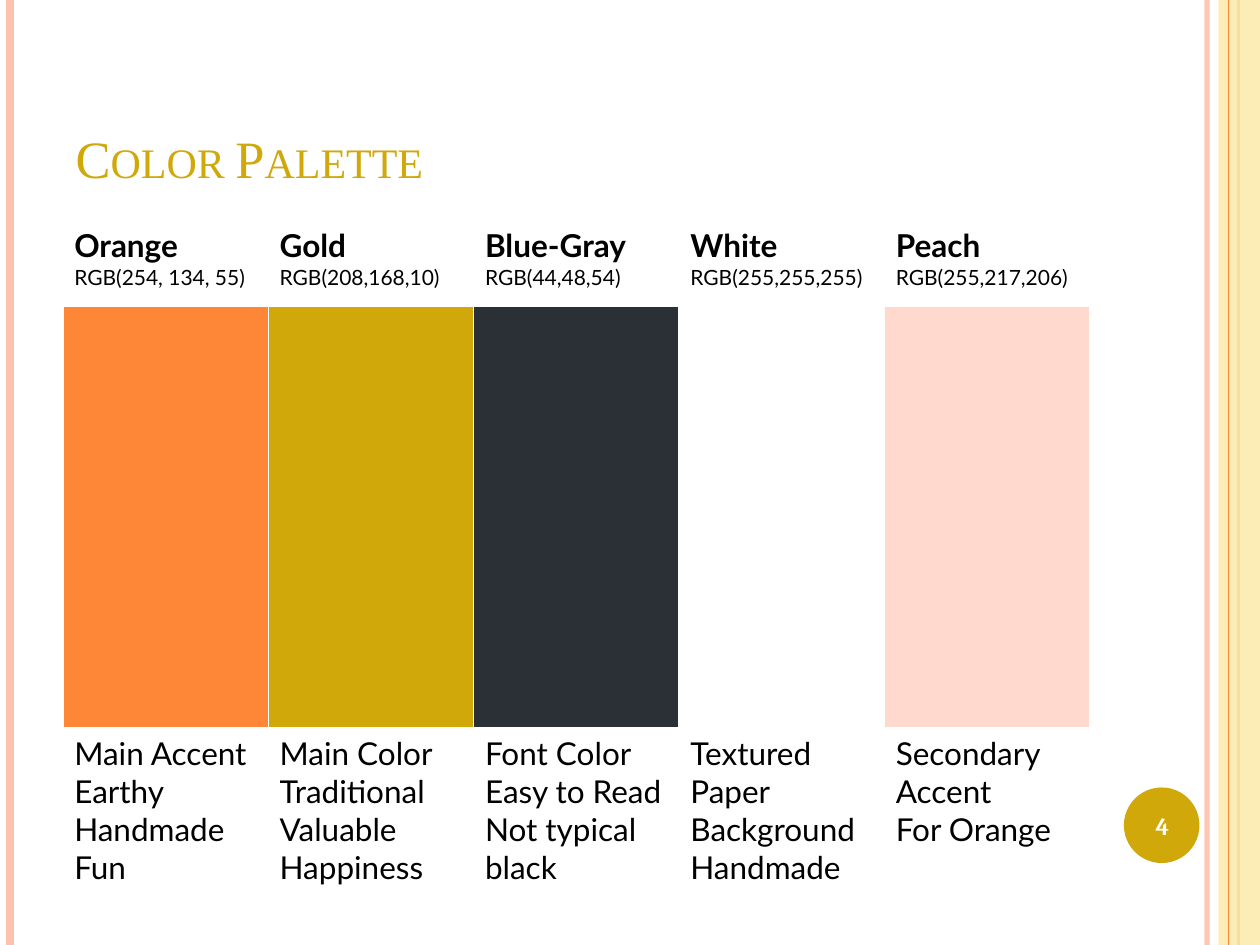
from lxml import etree
from pptx import Presentation
from pptx.dml.color import RGBColor
from pptx.enum.shapes import MSO_CONNECTOR, MSO_SHAPE
from pptx.enum.text import MSO_ANCHOR, PP_ALIGN
from pptx.oxml.ns import qn
from pptx.util import Inches, Pt

STRAIGHT = MSO_CONNECTOR.STRAIGHT
RECTANGLE, OVAL = MSO_SHAPE.RECTANGLE, MSO_SHAPE.OVAL
TOP, MIDDLE, BOTTOM = MSO_ANCHOR.TOP, MSO_ANCHOR.MIDDLE, MSO_ANCHOR.BOTTOM
LEFT, CENTER = PP_ALIGN.LEFT, PP_ALIGN.CENTER

ORANGE, GOLD, WHITE, ROSE = "FE8637", "D0A80A", "FFFFFF", "FEC3AE"
TITLE_FONT, BODY_FONT, NUMBER_FONT = "Times New Roman", "Lato", "Cambria"

# name, RGB label, swatch colour, notes
PALETTE = [
    ("Orange", "RGB(254, 134, 55)", ORANGE,
     ["Main Accent", "Earthy", "Handmade", "Fun"]),
    ("Gold", "RGB(208,168,10)", GOLD,
     ["Main Color", "Traditional", "Valuable", "Happiness"]),
    ("Blue-Gray", "RGB(44,48,54)", "2B2F36",
     ["Font Color", "Easy to Read", "Not typical black"]),
    ("White", "RGB(255,255,255)", WHITE,
     ["Textured Paper", "Background", "Handmade"]),
    ("Peach", "RGB(255,217,206)", "FFD9CE",
     ["Secondary Accent", "For Orange"]),
]
ROW_HEIGHTS = [0.67, 3.36, 1.51]
COLUMN_WIDTH = 1.63


def paint(color_format, color, alpha=100):
    """Set a colour from a hex string, with opacity in percent."""
    color_format.rgb = RGBColor.from_string(color)
    if alpha < 100:
        node = color_format._xFill.find(qn("a:srgbClr"))
        etree.SubElement(node, qn("a:alpha"), val=str(alpha * 1000))


def add_text(frame, text, first=False, size=18, color="000000", bold=False,
             font=BODY_FONT, align=LEFT, small_caps=False):
    """Write one paragraph into a text frame."""
    para = frame.paragraphs[0] if first else frame.add_paragraph()
    para.alignment = align
    span = para.add_run()
    span.text = text
    span.font.size, span.font.bold, span.font.name = Pt(size), bold, font
    paint(span.font.color, color)
    if small_caps:
        span._r.get_or_add_rPr().set("cap", "small")


def add_rule(page, x, color, width, alpha=100):
    """Draw a vertical line over the full page height."""
    rule = page.shapes.add_connector(STRAIGHT, Inches(x), 0, Inches(x), Inches(7.5))
    rule.line.width = Pt(width)
    rule.line.fill.solid()
    paint(rule.line.fill.fore_color, color, alpha)
    etree.SubElement(rule._element.spPr, qn("a:effectLst"))


def add_block(page, kind, left, top, width, height, color, alpha=100):
    """Draw a filled shape without outline."""
    block = page.shapes.add_shape(kind, Inches(left), Inches(top),
                                  Inches(width), Inches(height))
    block.shadow.inherit = False
    block.line.fill.background()
    block.fill.solid()
    paint(block.fill.fore_color, color, alpha)


def add_title(page, text):
    """Place and format the title placeholder."""
    title = page.shapes.title
    title.left, title.top = Inches(0.5), Inches(0.3)
    title.width, title.height = Inches(8.17), Inches(1.25)
    title.text_frame.vertical_anchor = BOTTOM
    title.text_frame.word_wrap = True
    add_text(title.text_frame, text, first=True, size=30, color=GOLD,
             font=TITLE_FONT, small_caps=True)


def add_page_number(page, number):
    """Write the page number on its round badge."""
    add_block(page, OVAL, 8.92, 6.25, 0.6, 0.6, GOLD)
    box = page.shapes.add_textbox(Inches(8.89), Inches(6.27), Inches(0.67), Inches(0.57))
    box.text_frame.word_wrap = True
    box.text_frame.vertical_anchor = MIDDLE
    add_text(box.text_frame, number, first=True, size=14, color=WHITE,
             bold=True, font=NUMBER_FONT, align=CENTER)


def style_cell(cell, color, bottom_width=1):
    """Give a cell white borders, margins and a fill."""
    props = cell._tc.get_or_add_tcPr()
    for side, width in (("L", 1), ("R", 1), ("T", 1), ("B", bottom_width)):
        border = etree.SubElement(props, qn("a:ln" + side), w=str(Pt(width)))
        fill = etree.SubElement(border, qn("a:solidFill"))
        etree.SubElement(fill, qn("a:srgbClr"), val=WHITE)
    cell.fill.solid()
    paint(cell.fill.fore_color, color)
    cell.margin_left = cell.margin_right = Inches(0.09)
    cell.margin_top = cell.margin_bottom = Inches(0.05)
    cell.vertical_anchor = TOP


def add_palette(page):
    """Build the table with one column per colour."""
    frame = page.shapes.add_table(len(ROW_HEIGHTS), len(PALETTE), Inches(0.5),
                                  Inches(1.75), Inches(COLUMN_WIDTH * len(PALETTE)),
                                  Inches(sum(ROW_HEIGHTS)))
    table = frame.table
    table.first_row = table.horz_banding = False
    for row, height in zip(table.rows, ROW_HEIGHTS):
        row.height = Inches(height)
    for index, (name, label, color, notes) in enumerate(PALETTE):
        table.columns[index].width = Inches(COLUMN_WIDTH)
        heading, swatch, details = (table.cell(row, index) for row in range(3))
        style_cell(heading, WHITE, bottom_width=3)
        style_cell(swatch, color)
        style_cell(details, WHITE)
        add_text(heading.text_frame, name, first=True, bold=True)
        add_text(heading.text_frame, label, size=12)
        for position, note in enumerate(notes):
            add_text(details.text_frame, note, first=position == 0)


def main():
    """Build the deck and save it."""
    deck = Presentation()
    deck.slide_width, deck.slide_height = Inches(10), Inches(7.5)
    page = deck.slides.add_slide(deck.slide_layouts[5])
    add_rule(page, 9.58, ROSE, 3, alpha=93)
    add_rule(page, 0.08, ROSE, 4.5)
    add_rule(page, 9.83, ORANGE, 1.5)
    add_block(page, RECTANGLE, 9.67, 0, 0.33, 7.5, "FBEBAB", alpha=87)
    add_rule(page, 9.75, ORANGE, 0.75)
    add_title(page, "Color Palette")
    add_palette(page)
    add_page_number(page, "4")
    deck.save("out.pptx")


main()
